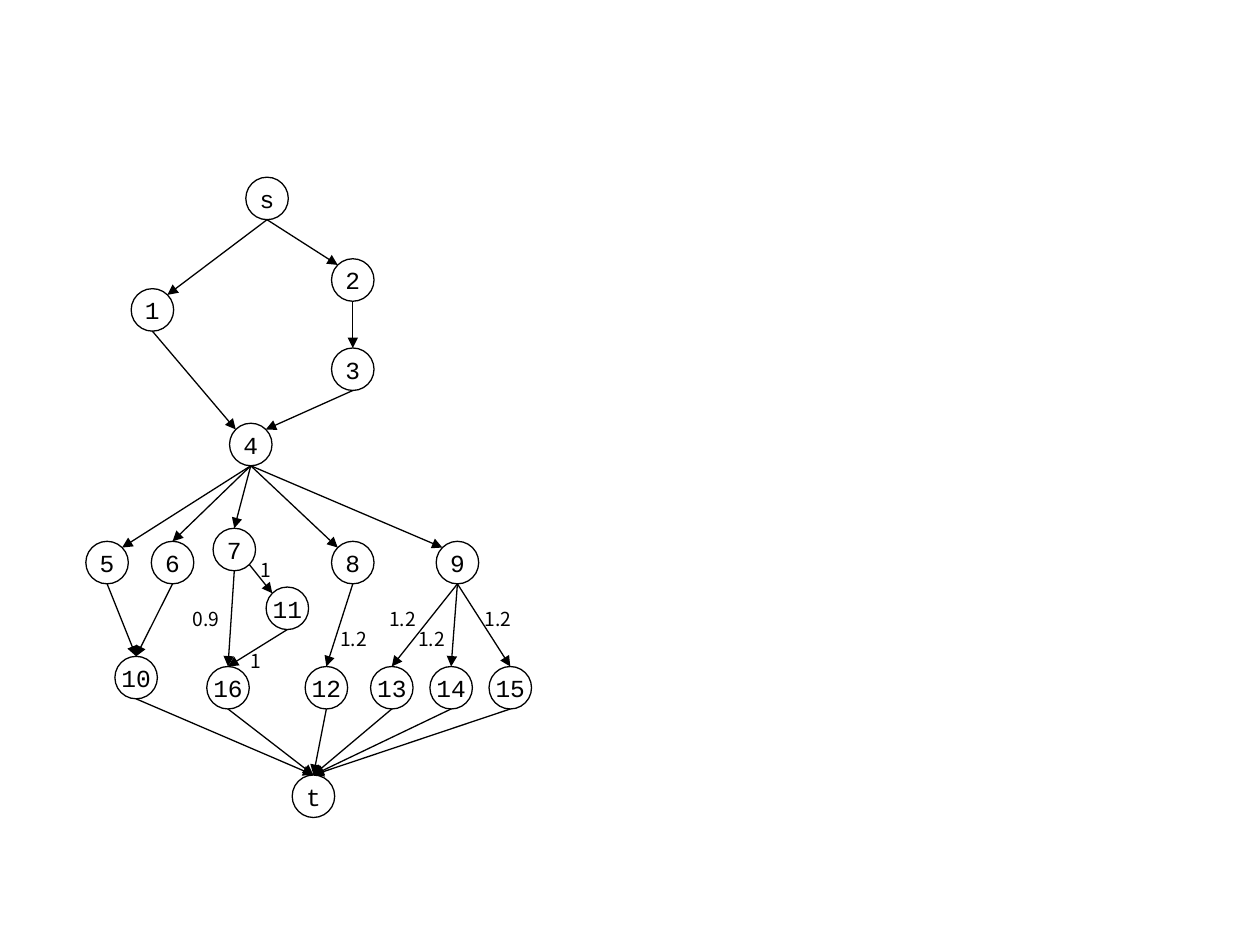
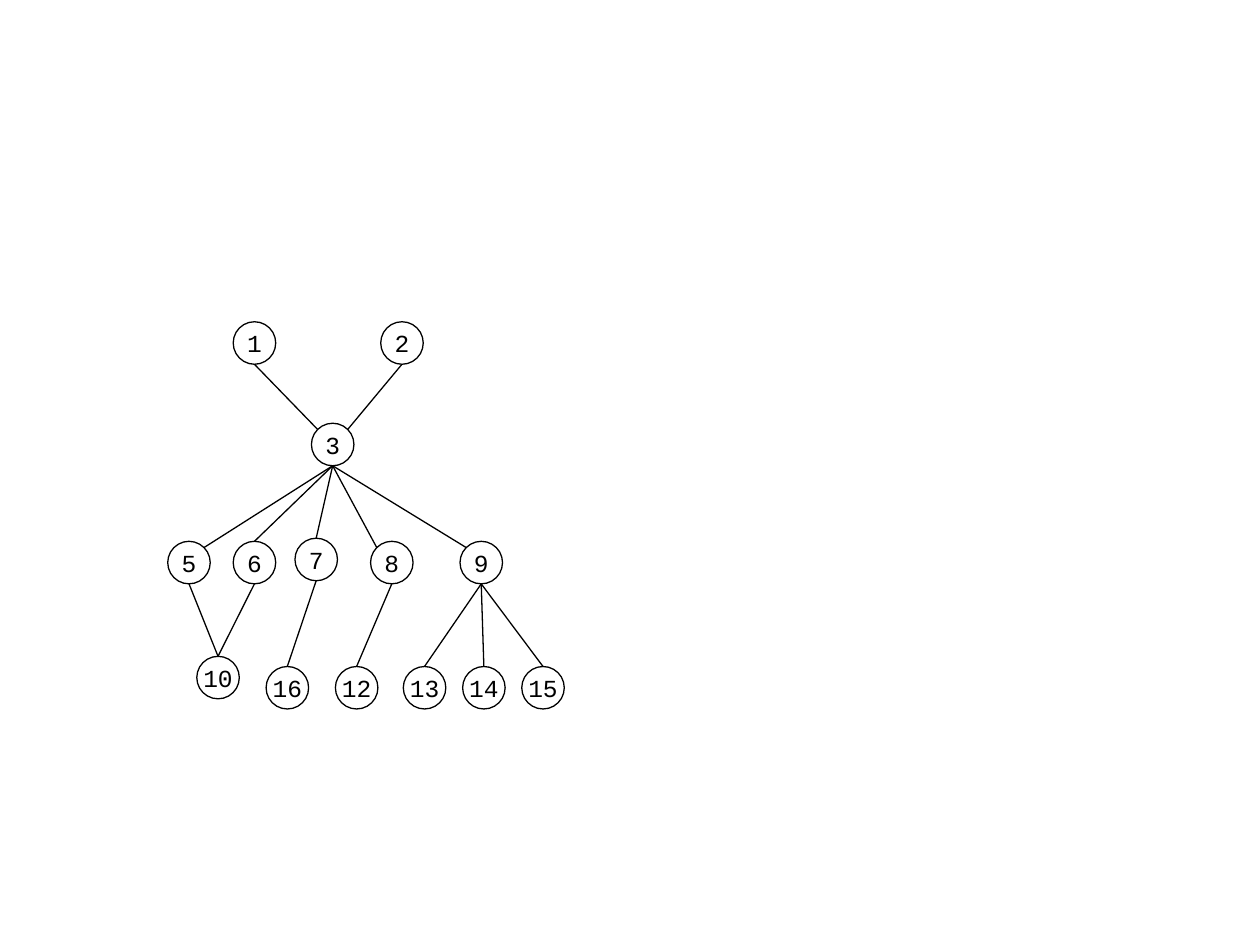
from pptx import Presentation
from pptx.dml.color import RGBColor
from pptx.enum.shapes import MSO_CONNECTOR, MSO_SHAPE
from pptx.enum.text import MSO_ANCHOR, MSO_AUTO_SIZE, PP_ALIGN
from pptx.oxml.ns import qn
from pptx.util import Pt
from lxml.etree import SubElement

BLACK = RGBColor(0, 0, 0)
NODE_FONT = "Courier New"
LABEL_FONT = "Noto Sans CJK JP"
LINE_WIDTH = Pt(0.75)
RADIUS = 12.15
DIAGONAL = RADIUS * 0.7071

# Offsets from a node's centre to the points where edges attach
SITES = {
    "top": (0, -RADIUS),
    "top left": (-DIAGONAL, -DIAGONAL),
    "top right": (DIAGONAL, -DIAGONAL),
    "bottom": (0, RADIUS),
    "bottom right": (DIAGONAL, DIAGONAL),
}

# Rows shared by both graphs (centre heights)
HUB_Y, CHILD_Y, JOIN_Y, LEAF_Y = 254, 321.5, 387.2, 393

FLOW_NODES = {
    "s": (152.6, 113.4), "1": (87.1, 177.1), "2": (201.6, 160), "3": (201.6, 211),
    "4": (143.3, HUB_Y),
    "5": (61.2, CHILD_Y), "6": (98.6, CHILD_Y), "7": (133.9, 314),
    "11": (164.2, 347.6), "8": (201.6, CHILD_Y), "9": (261.4, CHILD_Y),
    "10": (77.8, JOIN_Y), "16": (130.3, LEAF_Y), "12": (186.5, LEAF_Y),
    "13": (223.9, LEAF_Y), "14": (257.8, LEAF_Y), "15": (291.6, LEAF_Y),
    "t": (179.1, 455),
}
TREE_NODES = {
    "1": (145.4, 196), "2": (229.7, 196), "3": (190.1, HUB_Y),
    "5": (108, CHILD_Y), "6": (145.4, CHILD_Y), "7": (180.7, 319.7),
    "8": (223.9, CHILD_Y), "9": (275, CHILD_Y),
    "10": (124.6, JOIN_Y), "16": (164.2, LEAF_Y), "12": (203.8, LEAF_Y),
    "13": (242.6, LEAF_Y), "14": (276.5, LEAF_Y), "15": (310.3, LEAF_Y),
}

# Edges: start node, end node, end site, start site
LOWER_EDGES = [
    (start, end, "top", "bottom")
    for start, end in [("5", "10"), ("6", "10"), ("7", "16"), ("8", "12"),
                       ("9", "13"), ("9", "14"), ("9", "15")]
]
HUB_ENDS = {"5": "top right", "6": "top", "7": "top", "8": "top left", "9": "top left"}
FLOW_EDGES = [
    ("s", "1", "top right", "bottom"),
    ("1", "4", "top left", "bottom"),
    ("s", "2", "top left", "bottom"),
    ("2", "3", "top", "bottom"),
    ("3", "4", "top right", "bottom"),
    *[("4", child, site, "bottom") for child, site in HUB_ENDS.items()],
    *LOWER_EDGES,
    ("11", "16", "top", "bottom"),
    ("7", "11", "top left", "bottom right"),
    *[(leaf, "t", "top", "bottom") for leaf in ("12", "13", "14", "15", "16", "10")],
]
TREE_EDGES = [
    ("1", "3", "top left", "bottom"),
    ("2", "3", "top right", "bottom"),
    *[("3", child, site, "bottom") for child, site in HUB_ENDS.items()],
    *LOWER_EDGES,
]

# Edge weights: text, left, top, width
FLOW_WEIGHTS = [
    ("1.2", 215.3, 343.4, 32.4), ("1.2", 231.8, 355, 32.4),
    ("1.2", 270, 343.4, 32.4), ("1.2", 187.2, 355, 32.4),
    ("1", 141.8, 315.4, 21.6), ("1", 136.1, 367.2, 21.6),
    ("0.9", 103, 343.4, 32.4),
]


def set_label(shape, text, font_name, size):
    frame = shape.text_frame
    frame.text = text
    frame.word_wrap = False
    font = frame.paragraphs[0].runs[0].font
    font.name = font_name
    font.size = Pt(size)
    font.color.rgb = BLACK


deck = Presentation()
deck.slide_width, deck.slide_height = Pt(720), Pt(540)

for nodes, edges, weights, directed in [
    (FLOW_NODES, FLOW_EDGES, FLOW_WEIGHTS, True),
    (TREE_NODES, TREE_EDGES, [], False),
]:
    page = deck.slides.add_slide(deck.slide_layouts[6])

    for name, (x, y) in nodes.items():
        node = page.shapes.add_shape(
            MSO_SHAPE.OVAL, Pt(x - RADIUS), Pt(y - RADIUS), Pt(2 * RADIUS), Pt(2 * RADIUS))
        node.shadow.inherit = False
        node.fill.background()
        node.line.color.rgb = BLACK
        node.line.width = LINE_WIDTH
        set_label(node, name, NODE_FONT, 14)
        node.text_frame.vertical_anchor = MSO_ANCHOR.MIDDLE
        node.text_frame.paragraphs[0].alignment = PP_ALIGN.CENTER

    for start, end, end_site, start_site in edges:
        ends = [
            Pt(centre + offset)
            for name, site in [(start, start_site), (end, end_site)]
            for centre, offset in zip(nodes[name], SITES[site])
        ]
        edge = page.shapes.add_connector(MSO_CONNECTOR.STRAIGHT, *ends)
        edge.line.color.rgb = BLACK
        edge.line.width = LINE_WIDTH
        if directed:
            SubElement(edge.line._get_or_add_ln(), qn("a:tailEnd"), type="triangle")
        SubElement(edge._element.spPr, qn("a:effectLst"))

    for text, left, top, width in weights:
        box = page.shapes.add_textbox(Pt(left), Pt(top), Pt(width), Pt(20.9))
        set_label(box, text, LABEL_FONT, 11)
        box.text_frame.auto_size = MSO_AUTO_SIZE.SHAPE_TO_FIT_TEXT

deck.save("out.pptx")
